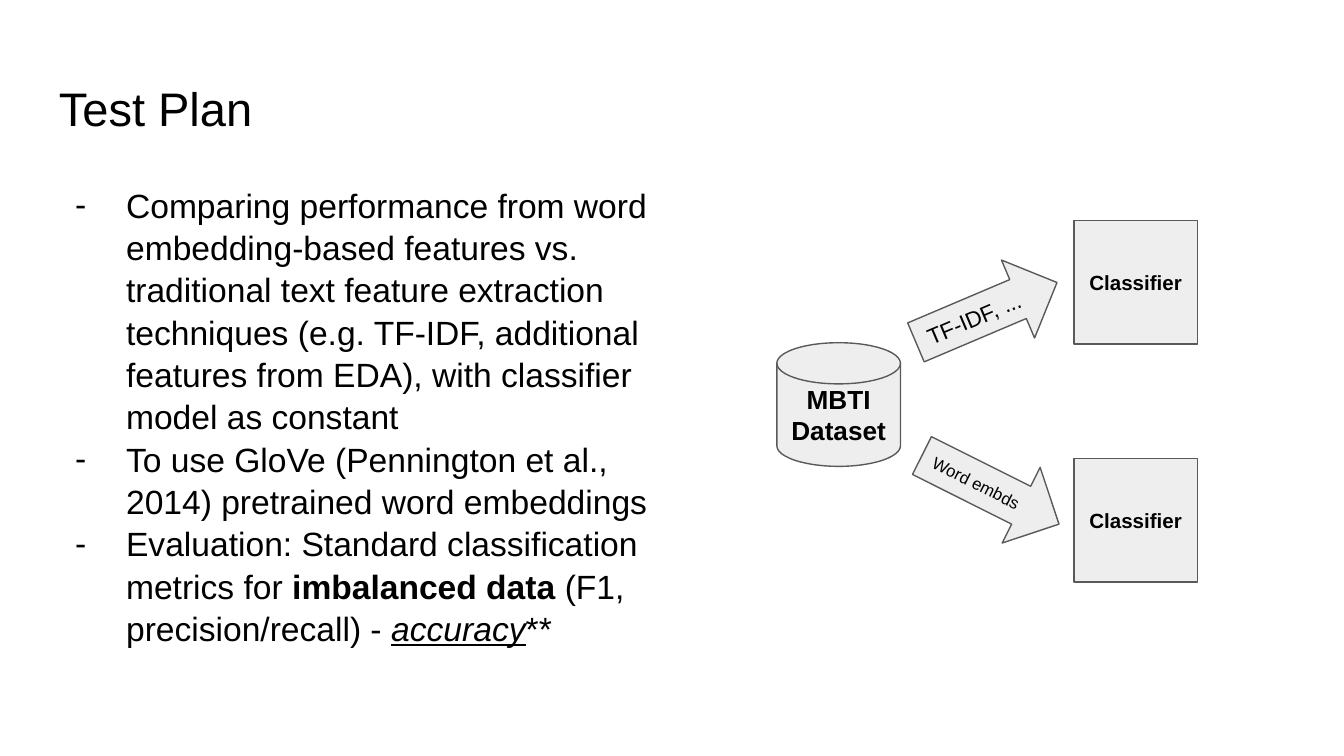
"""Build the Test Plan slide with its dataset-to-classifier diagram."""
import dataclasses
import typing

import lxml.etree
import pptx
import pptx.dml.color
import pptx.enum.shapes
import pptx.enum.text
import pptx.oxml.ns
import pptx.util

Inches = pptx.util.Inches
Pt = pptx.util.Pt
MSO_SHAPE = pptx.enum.shapes.MSO_SHAPE
PP_ALIGN = pptx.enum.text.PP_ALIGN
MSO_ANCHOR = pptx.enum.text.MSO_ANCHOR


@dataclasses.dataclass(frozen=True)
class Theme:
    font: str = "Arial"
    ink: str = "000000"
    fill: str = "EEEEEE"
    outline: str = "595959"
    title: float = 25.2
    body: float = 18
    dataset: float = 14
    features: float = 12
    classifier: float = 11
    embeddings: float = 9


THEME = Theme()


class Span(typing.NamedTuple):
    text: str
    style: dict[str, bool] = {}


@dataclasses.dataclass(frozen=True)
class Node:
    kind: MSO_SHAPE
    label: str
    left: float
    top: float
    size: float
    width: float = 0.92
    height: float = 0.92
    rotation: float = 0
    bold: bool = True
    align: PP_ALIGN = PP_ALIGN.CENTER


def arrow(label: str, left: float, top: float, size: float, rotation: float) -> Node:
    return Node(MSO_SHAPE.RIGHT_ARROW, label, left, top, size, 1.14, 0.63,
                rotation, False, PP_ALIGN.LEFT)


POINTS = [
    [Span("Comparing performance from word embedding-based features vs. "
          "traditional text feature extraction techniques (e.g. TF-IDF, "
          "additional features from EDA), with classifier model as constant")],
    [Span("To use GloVe (Pennington et al., 2014) pretrained word embeddings")],
    [Span("Evaluation: Standard classification metrics for "),
     Span("imbalanced data", {"bold": True}),
     Span(" (F1, precision/recall) - "),
     Span("accuracy", {"italic": True, "underline": True}),
     Span("**")],
]

NODES = [
    *(Node(MSO_SHAPE.RECTANGLE, "Classifier", 7.99, top, THEME.classifier)
      for top in (1.64, 3.41)),
    Node(MSO_SHAPE.FLOWCHART_MAGNETIC_DISK, "MBTI Dataset", 5.78, 2.55, THEME.dataset),
    arrow("TF-IDF, ...", 6.77, 2.01, THEME.features, 337),
    arrow("Word embds", 6.8, 3.33, THEME.embeddings, 26.6),
]


def apply(target: typing.Any, values: dict[str, typing.Any]) -> None:
    for name, value in values.items():
        setattr(target, name, value)


def color(code: str) -> pptx.dml.color.RGBColor:
    return pptx.dml.color.RGBColor.from_string(code)


def set_frame(frame: typing.Any, anchor: MSO_ANCHOR) -> None:
    margins = dict.fromkeys(
        ("margin_left", "margin_top", "margin_right", "margin_bottom"), Inches(0.1))
    apply(frame, {"word_wrap": True, "vertical_anchor": anchor, **margins})


def write(paragraph: typing.Any, spans: list[Span], size: float) -> None:
    for span in spans:
        run = paragraph.add_run()
        run.text = span.text
        apply(run.font, {"name": THEME.font, "size": Pt(size), **span.style})
        run.font.color.rgb = color(THEME.ink)


def add_dash(paragraph: typing.Any) -> None:
    properties = paragraph._p.get_or_add_pPr()
    properties.set("marL", str(Inches(0.5)))
    properties.set("indent", str(Inches(-0.38)))
    qn = pptx.oxml.ns.qn
    tint = lxml.etree.SubElement(properties, qn("a:buClr"))
    lxml.etree.SubElement(tint, qn("a:srgbClr"), val=THEME.ink)
    lxml.etree.SubElement(properties, qn("a:buFont"), typeface=THEME.font)
    lxml.etree.SubElement(properties, qn("a:buChar"), char="-")


def add_text(slide: typing.Any, left: float, top: float, width: float,
             height: float) -> typing.Any:
    frame = slide.shapes.add_textbox(
        Inches(left), Inches(top), Inches(width), Inches(height)).text_frame
    set_frame(frame, MSO_ANCHOR.TOP)
    return frame


def add_node(slide: typing.Any, node: Node) -> None:
    shape = slide.shapes.add_shape(
        node.kind, Inches(node.left), Inches(node.top),
        Inches(node.width), Inches(node.height))
    shape.rotation = node.rotation
    shape.shadow.inherit = False
    shape.fill.solid()
    shape.fill.fore_color.rgb = color(THEME.fill)
    shape.line.color.rgb = color(THEME.outline)
    shape.line.width = Pt(0.75)
    set_frame(shape.text_frame, MSO_ANCHOR.MIDDLE)
    label = shape.text_frame.paragraphs[0]
    label.alignment = node.align
    write(label, [Span(node.label, {"bold": node.bold})], node.size)


def main() -> None:
    deck = pptx.Presentation()
    apply(deck, {"slide_width": Inches(10), "slide_height": Inches(10 * 9 / 16)})
    slide = deck.slides.add_slide(deck.slide_layouts[6])

    title = add_text(slide, 0.34, 0.49, 9.32, 0.63)
    write(title.paragraphs[0], [Span("Test Plan")], THEME.title)

    plan = add_text(slide, 0.34, 1.26, 4.66, 3.74)
    for index, spans in enumerate(POINTS):
        point = plan.add_paragraph() if index else plan.paragraphs[0]
        point.line_spacing = 1.05
        add_dash(point)
        write(point, spans, THEME.body)

    for node in NODES:
        add_node(slide, node)
    deck.save("out.pptx")


if __name__ == "__main__":
    main()
